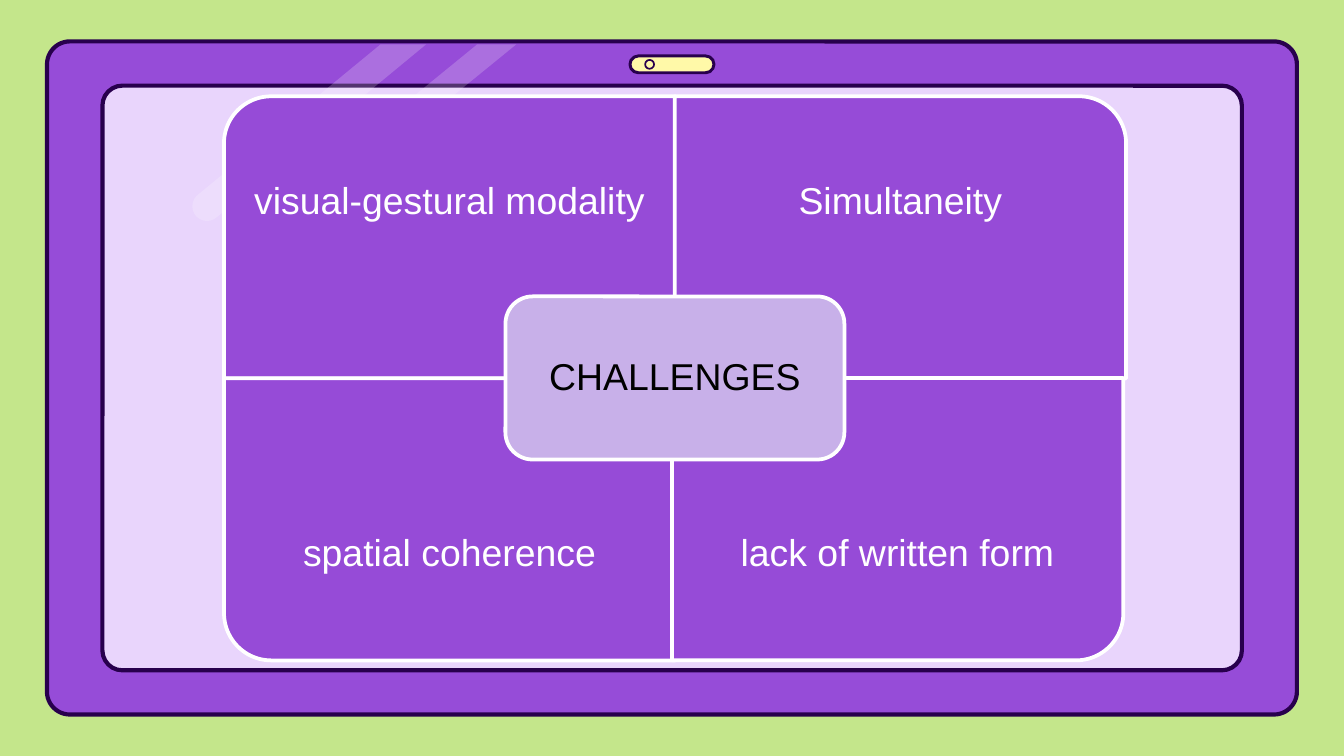
"""Build a slide with four challenges shown on a tablet screen."""
import math

from lxml import etree
from pptx import Presentation
from pptx.dml.color import RGBColor
from pptx.enum import shapes, text
from pptx.oxml import ns
from pptx.util import Pt

GREEN = RGBColor(0xC4, 0xE6, 0x8B)
FRAME = RGBColor(0x96, 0x4C, 0xD8)
SCREEN = RGBColor(0xE9, 0xD5, 0xFC)
OUTLINE = RGBColor(0x28, 0x00, 0x4D)
YELLOW = RGBColor(0xFF, 0xF9, 0xA8)
PANEL = RGBColor(0x96, 0x4B, 0xD7)
CENTRE = RGBColor(0xC8, 0xB0, 0xE9)
WHITE = RGBColor(0xFF, 0xFF, 0xFF)
BLACK = RGBColor(0x00, 0x00, 0x00)

ROUNDED = shapes.MSO_SHAPE.ROUNDED_RECTANGLE
ONE_ROUND = shapes.MSO_SHAPE.ROUND_1_RECTANGLE
PANEL_WIDTH, PANEL_HEIGHT, LABEL_HEIGHT = 241.8, 151.2, 113.4


def add_shape(slide, kind, frame, fill, line, weight, corner=None):
    """Add a filled and outlined preset shape."""
    shape = slide.shapes.add_shape(kind, *map(Pt, frame))
    shape.shadow.inherit = False
    if corner is not None:
        shape.adjustments[0] = corner
    shape.fill.solid()
    shape.fill.fore_color.rgb = fill
    shape.line.color.rgb = line
    shape.line.width = Pt(weight)
    return shape


def add_label(slide, frame, wording, color, inset):
    """Add a centred text box."""
    box = slide.shapes.add_textbox(*map(Pt, frame))
    body = box.text_frame
    body.word_wrap = True
    body.vertical_anchor = text.MSO_ANCHOR.MIDDLE
    body.margin_left = body.margin_right = Pt(inset)
    body.margin_top = body.margin_bottom = Pt(inset)
    para = body.paragraphs[0]
    para.alignment = text.PP_ALIGN.CENTER
    para.line_spacing = 0.9
    span = para.add_run()
    span.text = wording
    span.font.name = "Arial"
    span.font.size = Pt(20)
    span.font.color.rgb = color


def add_streak(slide, top, left, right, center, radius):
    """Add a translucent diagonal glare with a round lower end."""
    cap = []
    for angle in range(45, 226, 15):
        turn = math.radians(angle)
        cap.append((Pt(center[0] + radius * math.cos(turn)),
                    Pt(center[1] + radius * math.sin(turn))))
    builder = slide.shapes.build_freeform(Pt(right), Pt(top))
    builder.add_line_segments(cap + [(Pt(left), Pt(top))], close=True)
    streak = builder.convert_to_shape()
    streak.shadow.inherit = False
    streak.line.fill.background()
    streak.fill.solid()
    streak.fill.fore_color.rgb = WHITE
    color = streak.fill._xPr.find(".//" + ns.qn("a:srgbClr"))
    etree.SubElement(color, ns.qn("a:alpha"), val="20000")


def add_panel(slide, left, top, rotation, wording, label_top):
    """Add a quadrant whose outer corner is round, with its label."""
    width, height = PANEL_WIDTH, PANEL_HEIGHT
    if rotation % 180:
        width, height = height, width
    x = left + (PANEL_WIDTH - width) / 2
    y = top + (PANEL_HEIGHT - height) / 2
    panel = add_shape(slide, ONE_ROUND, (x, y, width, height), PANEL, WHITE, 2, 0.167)
    panel.rotation = rotation
    add_label(slide, (left, label_top, PANEL_WIDTH, LABEL_HEIGHT), wording, WHITE, 11.5)


def add_tablet(slide):
    """Add the tablet body, screen, glare and camera."""
    add_shape(slide, ROUNDED, (25.2, 22.2, 669.6, 360.6), FRAME, OUTLINE, 2.25, 0.034)
    add_shape(slide, ROUNDED, (54.9, 45.9, 610.4, 313.2), SCREEN, OUTLINE, 2.25, 0.034)
    add_streak(slide, 23.8, 203.8, 228.2, (110.9, 110.5), 7.9)
    add_streak(slide, 23.8, 255.6, 276.5, (178.2, 95.4), 6.6)
    add_shape(slide, ROUNDED, (337.5, 30, 45, 9), YELLOW, OUTLINE, 1.6, 0.5)
    add_shape(slide, shapes.MSO_SHAPE.OVAL, (345.6, 32.1, 4.8, 4.8), YELLOW, OUTLINE, 0.9)


def main():
    """Create and save the slide."""
    deck = Presentation()
    deck.slide_width, deck.slide_height = Pt(720), Pt(405)
    slide = deck.slides.add_slide(deck.slide_layouts[6])
    slide.background.fill.solid()
    slide.background.fill.fore_color.rgb = GREEN
    add_tablet(slide)

    upper, lower = 51.6, 202.6
    lower_label = lower + PANEL_HEIGHT - LABEL_HEIGHT
    add_panel(slide, 120, upper, 270, "visual-gestural modality", upper)
    add_panel(slide, 361.5, upper, 0, "Simultaneity", upper)
    add_panel(slide, 120, lower, 180, "spatial coherence", lower_label)
    add_panel(slide, 360, lower, 90, "lack of written form", lower_label)
    add_shape(slide, ROUNDED, (270.8, 158.8, 181.6, 87.4), CENTRE, WHITE, 2, 0.167)
    add_label(slide, (275, 163, 173.2, 79), "CHALLENGES", BLACK, 5.8)
    deck.save("out.pptx")


if __name__ == "__main__":
    main()
